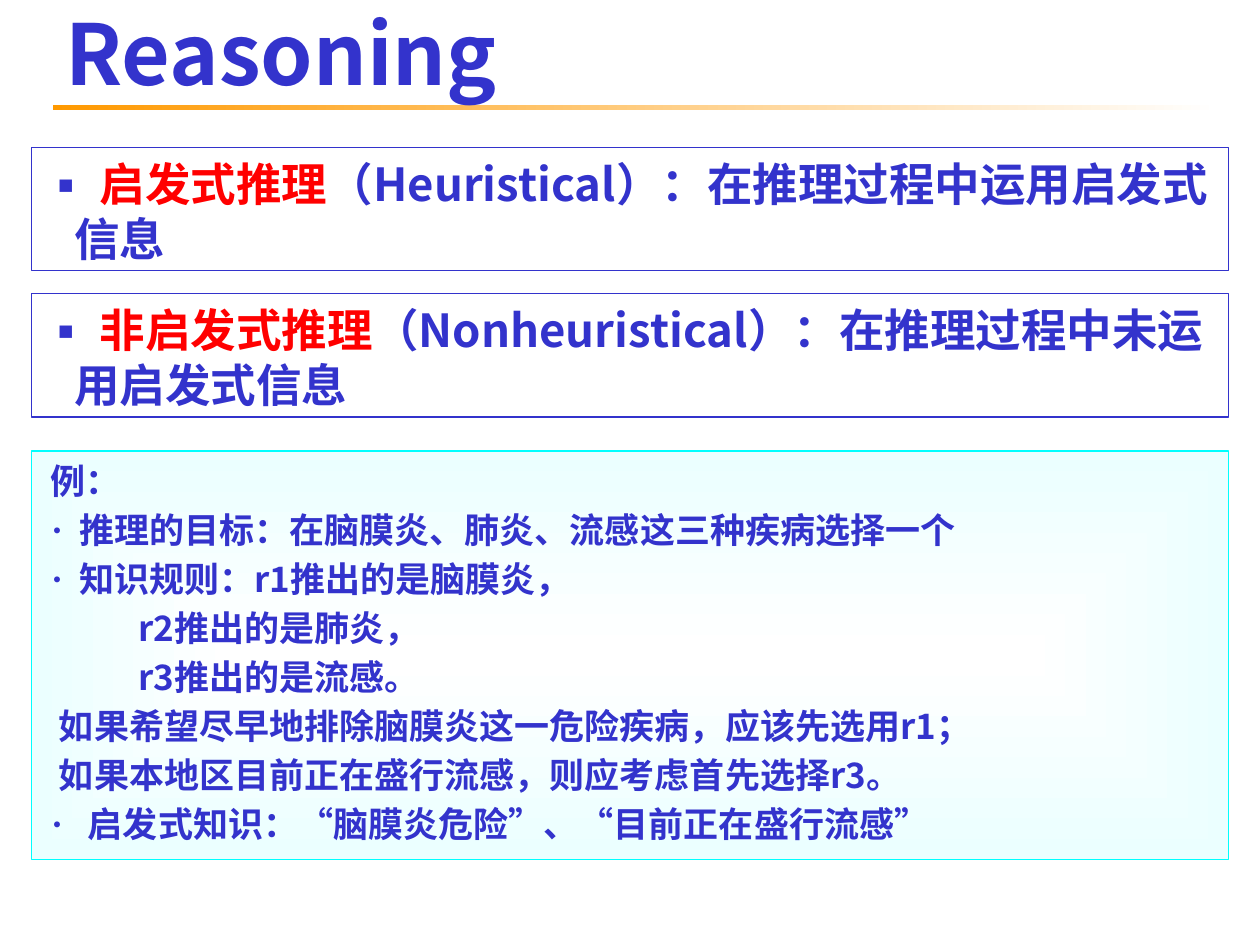
import pptx
import pptx.util
import pptx.dml.color
import pptx.enum.shapes
import pptx.enum.text
import pptx.oxml
import pptx.oxml.ns
from pptx.util import Inches

COLORS = {"blue": "3333CC", "red": "FF0000", "orange": "FF9900",
          "white": "FFFFFF", "mist": "EBFFFF", "cyan": "00FFFF"}
FONT = "Noto Sans CJK SC"


def rgb(name):
    return pptx.dml.color.RGBColor.from_string(COLORS[name])


def apply(target, values):
    for name, value in values.items():
        setattr(target, name, value)


def element(parent, tag, **attrs):
    el = parent.makeelement(pptx.oxml.ns.qn(tag), attrs)
    parent.append(el)
    return el


class SlideBuilder:
    def __init__(self, prs):
        self.slide = prs.slides.add_slide(prs.slide_layouts[5])
        self.frame = {"word_wrap": True,
                      "auto_size": pptx.enum.text.MSO_AUTO_SIZE.NONE,
                      "margin_left": Inches(0.1), "margin_right": Inches(0.1)}

    def run(self, p, text, size, color):
        r = p.add_run()
        r.text = text
        apply(r.font, {"size": pptx.util.Pt(size), "bold": True, "name": FONT})
        r.font.color.rgb = rgb(color)
        element(r.font._element, "a:ea", typeface=FONT)

    def title(self, text, left, top, width, height):
        sp = self.slide.shapes.title
        apply(sp, {"left": Inches(left), "top": Inches(top),
                   "width": Inches(width), "height": Inches(height)})
        tf = sp.text_frame
        apply(tf, self.frame)
        tf.vertical_anchor = pptx.enum.text.MSO_ANCHOR.MIDDLE
        p = tf.paragraphs[0]
        p.alignment = pptx.enum.text.PP_ALIGN.LEFT
        self.run(p, text, 48, "blue")

    def rect(self, left, top, width, height, gradient=None, line=None):
        sp = self.slide.shapes.add_shape(
            pptx.enum.shapes.MSO_SHAPE.RECTANGLE,
            Inches(left), Inches(top), Inches(width), Inches(height))
        sp.shadow.inherit = False
        if gradient:
            sp.fill.gradient()
            sp.fill.gradient_angle = 0
            for stop, color in zip(sp.fill.gradient_stops, gradient):
                stop.color.rgb = rgb(color)
        else:
            sp.fill.background()
        if line:
            sp.line.color.rgb = rgb(line)
            sp.line.width = pptx.util.Pt(0.75)
        else:
            sp.line.fill.background()
        return sp

    def rule(self, left, top, width, height):
        sp = self.rect(left, top, width, height, ("orange", "white"))
        self.slide.shapes._spTree.insert(2, sp._element)

    def center_gradient(self, sp):
        lin = sp._element.spPr.find(".//" + pptx.oxml.ns.qn("a:lin"))
        grad = lin.getparent()
        grad.remove(lin)
        shade = element(grad, "a:path", path="rect")
        element(shade, "a:fillToRect", l="50000", t="50000", r="50000", b="50000")

    def paragraphs(self, sp, rows, size):
        tf = sp.text_frame
        apply(tf, self.frame)
        apply(tf, {"vertical_anchor": pptx.enum.text.MSO_ANCHOR.TOP,
                   "margin_top": Inches(0.07), "margin_bottom": Inches(0.03)})
        for i, (bullet, indent, runs) in enumerate(rows):
            p = tf.paragraphs[0] if i == 0 else tf.add_paragraph()
            apply(p, {"alignment": pptx.enum.text.PP_ALIGN.LEFT,
                      "line_spacing": pptx.util.Pt(size * 1.2),
                      "space_before": pptx.util.Pt(size * 0.2 if i else 0)})
            pPr = p._p.get_or_add_pPr()
            pPr.set("marL", str(Inches(indent)))
            pPr.set("indent", str(-Inches(indent) if bullet else 0))
            if bullet:
                color = element(pPr, "a:buClr")
                element(color, "a:srgbClr", val=COLORS["blue"])
                element(pPr, "a:buSzPct", val="80000" if bullet == "•" else "100000")
                element(pPr, "a:buFont", typeface=FONT)
                element(pPr, "a:buChar", char=bullet)
            else:
                element(pPr, "a:buNone")
            for text, shade in runs:
                self.run(p, text, size, shade)

    def definition(self, top, term, rest):
        sp = self.rect(0.25, top, 9.5, 0.98, line="blue")
        self.paragraphs(sp, [("▪", 0.24, [(" " + term, "red"), (rest, "blue")])], 26)

    def example(self, top, height, lines):
        sp = self.rect(0.25, top, 9.5, height, ("white", "mist"), "cyan")
        self.center_gradient(sp)
        rows = [(bullet, indent, [(text, "blue")]) for bullet, indent, text in lines]
        self.paragraphs(sp, rows, 20)


def main():
    prs = pptx.Presentation()
    prs.slide_width, prs.slide_height = Inches(10), Inches(7.5)
    s = SlideBuilder(prs)
    s.rule(0.42, 0.83, 9.25, 0.04)
    s.title("Reasoning", 0.42, 0, 9.58, 0.83)
    s.definition(1.17, "启发式推理", "（Heuristical）：在推理过程中运用启发式信息")
    s.definition(2.33, "非启发式推理", "（Nonheuristical）：在推理过程中未运用启发式信息")
    s.example(3.58, 3.24, [
        (None, 0.05, "例："),
        ("•", 0.28, "推理的目标：在脑膜炎、肺炎、流感这三种疾病选择一个"),
        ("•", 0.28, "知识规则：r1推出的是脑膜炎，"),
        (None, 0.75, "r2推出的是肺炎，"),
        (None, 0.75, "r3推出的是流感。"),
        (None, 0.12, "如果希望尽早地排除脑膜炎这一危险疾病，应该先选用r1；"),
        (None, 0.12, "如果本地区目前正在盛行流感，则应考虑首先选择r3。"),
        ("•", 0.35, "启发式知识：“脑膜炎危险”、“目前正在盛行流感”"),
    ])
    prs.save("out.pptx")


if __name__ == "__main__":
    main()
